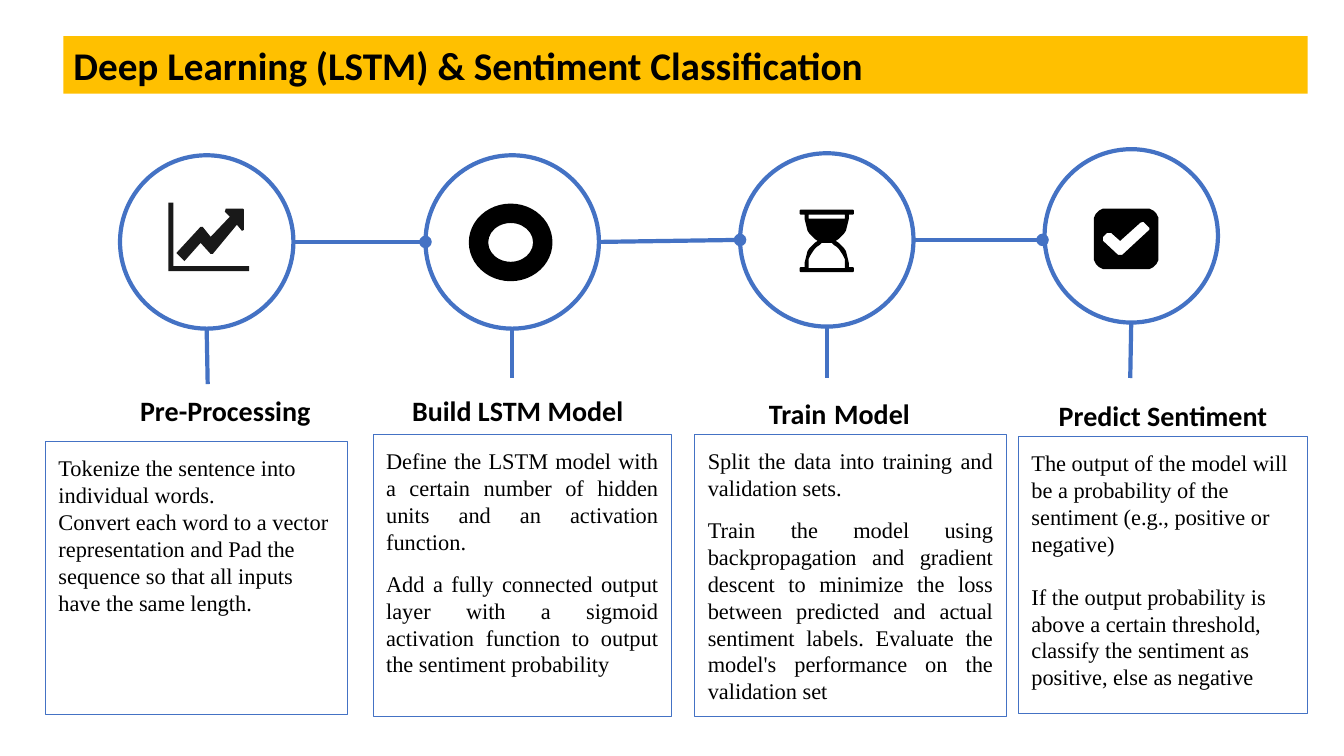
from pptx import Presentation
from pptx import util as u
from pptx.dml.color import RGBColor
from pptx.enum import shapes, text
from pptx.oxml import ns, parse_xml

BLUE = RGBColor(0x44, 0x72, 0xC4)
GOLD = RGBColor(0xFF, 0xC0, 0x00)
BLACK = RGBColor(0, 0, 0)
DARK = RGBColor(0x19, 0x19, 0x19)
LEFT, MID, JUST = text.PP_ALIGN.LEFT, text.PP_ALIGN.CENTER, text.PP_ALIGN.JUSTIFY
KIND = shapes.MSO_SHAPE
SIZE = 1.72  # circle diameter

# circle (left, top), stem end, heading (left, top), box, alignment, gap, heading runs, body
STAGES = [
    ((1.19, 1.54), (2.06, 3.81), (0.8, 3.77), (0.45, 4.38, 3, 2.71), LEFT, 0,
     [("Pre-Processing", 20)],
     ["Tokenize the sentence into individual words.",
      "Convert each word to a vector representation and Pad the sequence "
      "so that all inputs have the same length."]),
    ((4.22, 1.54), (5.08, 3.75), (3.7, 3.77), (3.7, 4.31, 2.96, 2.8), JUST, 10.7,
     [("Build LSTM Model", 20)],
     ["Define the LSTM model with a certain number of hidden units and an "
      "activation function.",
      "Add a fully connected output layer with a sigmoid activation function "
      "to output the sentiment probability"]),
    ((7.34, 1.52), (8.2, 3.75), (6.89, 3.75), (6.89, 4.31, 3.09, 2.8), JUST, 10.7,
     [("Train", 20), (" ", 24), ("Model", 20)],
     ["Split the data into training and validation sets.",
      "Train the model using backpropagation and gradient descent to minimize "
      "the loss between predicted and actual sentiment labels. Evaluate the "
      "model's performance on the validation set"]),
    ((10.36, 1.48), (11.21, 3.75), (10.1, 3.82), (10.1, 4.33, 2.87, 2.75), LEFT, 18.4,
     [("Predict Sentiment", 20)],
     ["The output of the model will be a probability of the sentiment "
      "(e.g., positive or negative)",
      "If the output probability is above a certain threshold, classify the "
      "sentiment as positive, else as negative"]),
]

AXES = [(1.67, 2.01), (1.67, 2.69), (2.47, 2.69), (2.47, 2.64), (1.72, 2.64), (1.72, 2.01)]
TREND = [(2.24, 2.07), (2.23, 2.1), (2.28, 2.15), (2.09, 2.35), (2.01, 2.25), (1.99, 2.25),
         (1.75, 2.51), (1.83, 2.59), (1.99, 2.41), (2.09, 2.52), (2.11, 2.52), (2.35, 2.23),
         (2.4, 2.29), (2.42, 2.28), (2.42, 2.08), (2.41, 2.07)]
TICK = [(11.34, 2.2), (11.4, 2.26), (11.4, 2.28), (11.13, 2.53), (11.09, 2.53),
        (10.94, 2.39), (10.94, 2.35), (10.98, 2.31), (11.02, 2.31), (11.11, 2.39),
        (11.31, 2.21)]

# offsets from the middle of the hourglass and of the tick's tile
GLASS = [(.26, -.31), (.27, -.3), (.27, -.27), (.26, -.26), (.22, -.26), (.22, -.22),
         (.21, -.18), (.2, -.14), (.19, -.1), (.17, -.07), (.14, -.04), (.12, -.02), (.09, 0)]
UPPER = [(.18, -.26), (.18, -.22)]
LOWER = [(.05, .02), (.07, .04), (.1, .06), (.12, .08), (.14, .11), (.16, .14),
         (.18, .18), (.18, .22), (.18, .27)]
CORNER = [(.21, -.3), (.23, -.3), (.27, -.28), (.3, -.25), (.32, -.21), (.32, -.19)]


def flip(side):
    """Close a right half with its mirror image on the left."""
    return side + [(-x, y) for x, y in reversed(side)]


def down(part):
    """Extend an upper half with its mirror image below."""
    return part + [(x, -y) for x, y in reversed(part)]


def shift(pts, x, y):
    return [(x + a, y + b) for a, b in pts]


def write(shape, paras, font="Calibri", size=20, bold=False, align=LEFT, gap=0, pad=(.13, .13)):
    """Fill a shape with paragraphs, each a string or a list of (text, size) runs."""
    frame = shape.text_frame
    frame.word_wrap = True
    frame.vertical_anchor = text.MSO_ANCHOR.TOP
    frame.margin_left = frame.margin_right = u.Inches(pad[0])
    frame.margin_top = frame.margin_bottom = u.Inches(pad[1])
    for i, item in enumerate(paras):
        para = frame.add_paragraph() if i else frame.paragraphs[0]
        para.alignment = align
        if i and gap:
            para.space_before = u.Pt(gap)
        for words, points in [(item, size)] if isinstance(item, str) else item:
            run = para.add_run()
            run.text = words
            run.font.name, run.font.size = font, u.Pt(points)
            run.font.bold, run.font.color.rgb = bold, BLACK


class Deck:
    def __init__(self):
        self.show = Presentation()
        self.show.slide_width, self.show.slide_height = u.Inches(13.33), u.Inches(7.5)
        self.items = self.show.slides.add_slide(self.show.slide_layouts[6]).shapes

    def style(self, shape, fill=None, line=None, width=3):
        shape.shadow.inherit = False
        if fill is None:
            shape.fill.background()
        else:
            shape.fill.solid()
            shape.fill.fore_color.rgb = fill
        if line is None:
            shape.line.fill.background()
        else:
            shape.line.color.rgb, shape.line.width = line, u.Pt(width)
        return shape

    def shape(self, kind, area, **look):
        return self.style(self.items.add_shape(kind, *map(u.Inches, area)), **look)

    def label(self, area, paras, **form):
        write(self.items.add_textbox(*map(u.Inches, area)), paras, **form)

    def line(self, start, end, dot=False):
        link = self.items.add_connector(
            shapes.MSO_CONNECTOR.STRAIGHT, *map(u.Inches, (*start, *end)))
        link.line.color.rgb, link.line.width = BLUE, u.Pt(3)
        if dot:
            link.line._get_or_add_ln().append(
                parse_xml(f'<a:tailEnd {ns.nsdecls("a")} type="oval"/>'))
        link._element.spPr.append(parse_xml(f'<a:effectLst {ns.nsdecls("a")}/>'))

    def icon(self, loops, fill=BLACK):
        """Draw closed outlines as one shape; inner ones are holes."""
        loops = [[(u.Inches(x), u.Inches(y)) for x, y in loop] for loop in loops]
        pen = self.items.build_freeform(*loops[0][0])
        for i, loop in enumerate(loops):
            if i:
                pen.move_to(*loop[0])
            pen.add_line_segments(loop[1:], close=True)
        self.style(pen.convert_to_shape(), fill=fill)


def main():
    deck = Deck()
    for (x, y), stem, head, box, align, gap, title, body in STAGES:
        deck.shape(KIND.OVAL, (x, y, SIZE, SIZE), line=BLUE)
        deck.line((x + SIZE / 2, y + SIZE), stem)
        deck.label((*head, 2.87, 0.66), [title], bold=True, align=MID)
        card = deck.shape(KIND.RECTANGLE, box, line=BLUE, width=0.75)
        write(card, body, font="Times New Roman", size=16, align=align, gap=gap)

    for start, end in [((2.91, 2.4), (4.22, 2.4)), ((5.94, 2.4), (7.34, 2.38)),
                       ((9.06, 2.38), (10.34, 2.38))]:
        deck.line(start, end, dot=True)

    deck.icon([TREND, AXES], fill=DARK)
    deck.shape(KIND.DONUT, (4.65, 2.02, 0.83, 0.77), fill=BLACK)
    deck.icon([shift(flip(half), 8.2, 2.39) for half in (down(GLASS), UPPER, LOWER)])
    deck.icon([shift(flip(down(CORNER)), 11.17, 2.37), TICK])

    bar = deck.shape(KIND.RECTANGLE, (0.63, 0.36, 12.34, 0.57), fill=GOLD)
    write(bar, ["Deep Learning (LSTM) & Sentiment Classification"],
          size=28, bold=True, pad=(.1, .05))
    deck.show.save("out.pptx")


if __name__ == "__main__":
    main()
